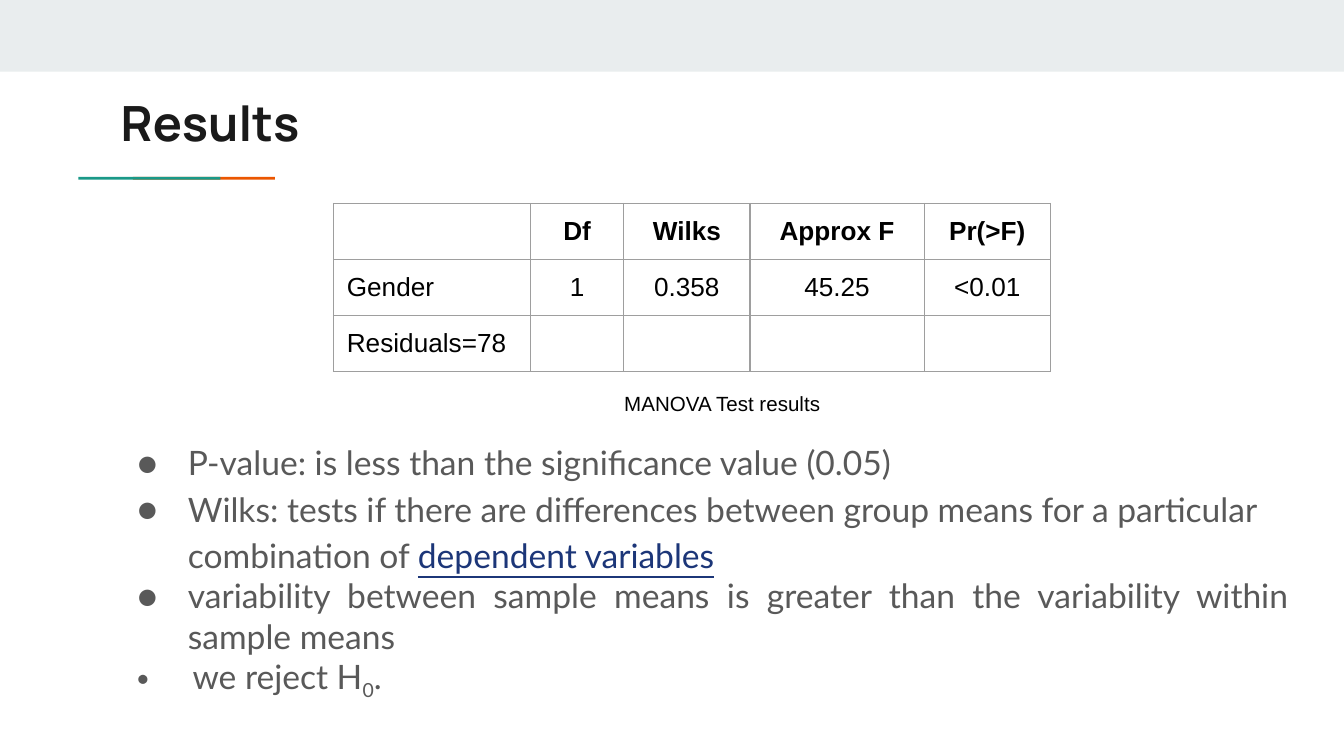
from dataclasses import dataclass
from typing import Optional

from lxml.etree import SubElement
from pptx import Presentation
from pptx.dml.color import RGBColor
from pptx.enum.shapes import MSO_SHAPE as Preset
from pptx.enum.text import MSO_ANCHOR as Anchor, PP_ALIGN as Align
from pptx.oxml.ns import qn
from pptx.util import Pt

BAND = RGBColor(0xE9, 0xED, 0xEE)
TEAL = RGBColor(0x1A, 0x99, 0x88)
ORANGE = RGBColor(0xEB, 0x56, 0x00)
INK = RGBColor(0x1A, 0x1A, 0x1A)
BLACK = RGBColor(0, 0, 0)
GREY = RGBColor(0x59, 0x59, 0x59)
NAVY = RGBColor(0x1C, 0x36, 0x78)
RULE = RGBColor(0x9E, 0x9E, 0x9E)
INSET = Pt(7.2)


@dataclass(frozen=True)
class Box:
    left: float
    top: float
    width: float
    height: float

    def lengths(self) -> tuple:
        return Pt(self.left), Pt(self.top), Pt(self.width), Pt(self.height)


@dataclass(frozen=True)
class Style:
    font: str
    size: float
    color: RGBColor
    bold: bool = False
    underline: bool = False
    baseline: Optional[int] = None


@dataclass(frozen=True)
class Finding:
    runs: tuple
    spacing: float = 1.0
    align: Align = Align.LEFT


TITLE = Style("Manrope", 26, INK, bold=True)
HEADING = Style("Arial", 14, BLACK, bold=True)
VALUE = Style("Arial", 14, BLACK)
CAPTION = Style("Arial", 11, BLACK)
BODY = Style("Lato", 18, GREY)
TERM = Style("Lato", 18, NAVY, underline=True)
SUBSCRIPT = Style("Lato", 18, GREY, baseline=-25000)
LEAD = Style("Times New Roman", 10, BLACK)

BARS = (
    (Box(0, 0, 720, 38.4), BAND, 0),
    (Box(108.5, 57.4, 1.5, 76.2), ORANGE, 270),
    (Box(79.3, 57.4, 1.5, 76.2), TEAL, 270),
)
COLUMNS = (105.6, 50, 67.6, 93.4, 67.6)
ROW_HEIGHT = 30
MANOVA = (
    ("", "Df", "Wilks", "Approx F", "Pr(>F)"),
    ("Gender", "1", "0.358", "45.25", "<0.01"),
    ("Residuals=78", "", "", "", ""),
)
FINDINGS = (
    Finding((("P-value: is less than the significance value (0.05)", BODY),), 1.15),
    Finding((
        ("Wilks: tests if there are differences between group means "
         "for a particular combination of ", BODY),
        ("dependent variables", TERM),
    ), 1.15),
    Finding((
        ("variability between sample means is greater than the "
         "variability within sample means", BODY),
    ), align=Align.JUSTIFY),
    Finding((
        (" ", LEAD), ("we reject H", BODY), ("0", SUBSCRIPT), (".", BODY),
    ), align=Align.JUSTIFY),
)


def add_solid(parent, color: RGBColor) -> None:
    fill = SubElement(parent, qn("a:solidFill"))
    SubElement(fill, qn("a:srgbClr"), val=str(color))


def add_run(paragraph, text: str, style: Style) -> None:
    run = paragraph.add_run()
    run.text = text
    font = run.font
    font.name, font.size = style.font, Pt(style.size)
    font.bold, font.underline = style.bold, style.underline
    font.color.rgb = style.color
    properties = run._r.get_or_add_rPr()
    if style.baseline is not None:
        properties.set("baseline", str(style.baseline))
    if style.underline:
        underline = properties.makeelement(qn("a:uFill"), {})
        add_solid(underline, style.color)
        properties.find(qn("a:latin")).addprevious(underline)


def add_bar(slide, box: Box, color: RGBColor, rotation: float) -> None:
    bar = slide.shapes.add_shape(Preset.RECTANGLE, *box.lengths())
    bar.rotation = rotation
    bar.shadow.inherit = False
    bar.fill.solid()
    bar.fill.fore_color.rgb = color
    bar.line.fill.background()


def add_frame(slide, box: Box):
    frame = slide.shapes.add_textbox(*box.lengths()).text_frame
    frame.word_wrap = True
    frame.vertical_anchor = Anchor.TOP
    frame.margin_left = frame.margin_right = INSET
    frame.margin_top = frame.margin_bottom = INSET
    return frame


def add_line(slide, box: Box, text: str, style: Style, align: Align) -> None:
    paragraph = add_frame(slide, box).paragraphs[0]
    paragraph.alignment = align
    add_run(paragraph, text, style)


def set_borders(cell) -> None:
    properties = cell._tc.get_or_add_tcPr()
    for position, side in enumerate(("lnL", "lnR", "lnT", "lnB")):
        border = properties.makeelement(qn(f"a:{side}"), {"w": str(Pt(0.75))})
        add_solid(border, RULE)
        properties.insert(position, border)


def add_results(slide, left: float, top: float) -> None:
    box = Box(left, top, sum(COLUMNS), ROW_HEIGHT * len(MANOVA))
    table = slide.shapes.add_table(len(MANOVA), len(COLUMNS), *box.lengths()).table
    table.first_row = table.horz_banding = False
    for column, width in zip(table.columns, COLUMNS):
        column.width = Pt(width)
    for r, row in enumerate(MANOVA):
        for c, text in enumerate(row):
            cell = table.cell(r, c)
            cell.margin_left = cell.margin_right = INSET
            cell.margin_top = cell.margin_bottom = Pt(4)
            cell.vertical_anchor = Anchor.MIDDLE
            cell.fill.background()
            set_borders(cell)
            if text:
                paragraph = cell.text_frame.paragraphs[0]
                paragraph.alignment = Align.CENTER if c else Align.LEFT
                add_run(paragraph, text, HEADING if r == 0 else VALUE)


def set_bullet(paragraph) -> None:
    properties = paragraph._p.get_or_add_pPr()
    properties.set("marL", str(Pt(36)))
    properties.set("indent", str(Pt(-27)))
    color = SubElement(properties, qn("a:buClr"))
    SubElement(color, qn("a:srgbClr"), val=str(GREY))
    SubElement(properties, qn("a:buFont"), typeface=BODY.font)
    SubElement(properties, qn("a:buChar"), char="●")


def add_findings(slide, box: Box) -> None:
    frame = add_frame(slide, box)
    for index, finding in enumerate(FINDINGS):
        paragraph = frame.add_paragraph() if index else frame.paragraphs[0]
        paragraph.alignment = finding.align
        paragraph.line_spacing = finding.spacing
        set_bullet(paragraph)
        for text, style in finding.runs:
            add_run(paragraph, text, style)


def main() -> None:
    deck = Presentation()
    deck.slide_width, deck.slide_height = Pt(720), Pt(405)
    slide = deck.slides.add_slide(deck.slide_layouts[6])
    for box, color, rotation in BARS:
        add_bar(slide, box, color, rotation)
    add_line(slide, Box(57.6, 42.5, 605.5, 42.5), "Results", TITLE, Align.LEFT)
    add_results(slide, 178.6, 109)
    add_findings(slide, Box(57.6, 226.5, 640, 155.5))
    add_line(slide, Box(270.3, 202.6, 233.3, 26.6), "MANOVA Test results",
             CAPTION, Align.CENTER)
    deck.save("out.pptx")


if __name__ == "__main__":
    main()
